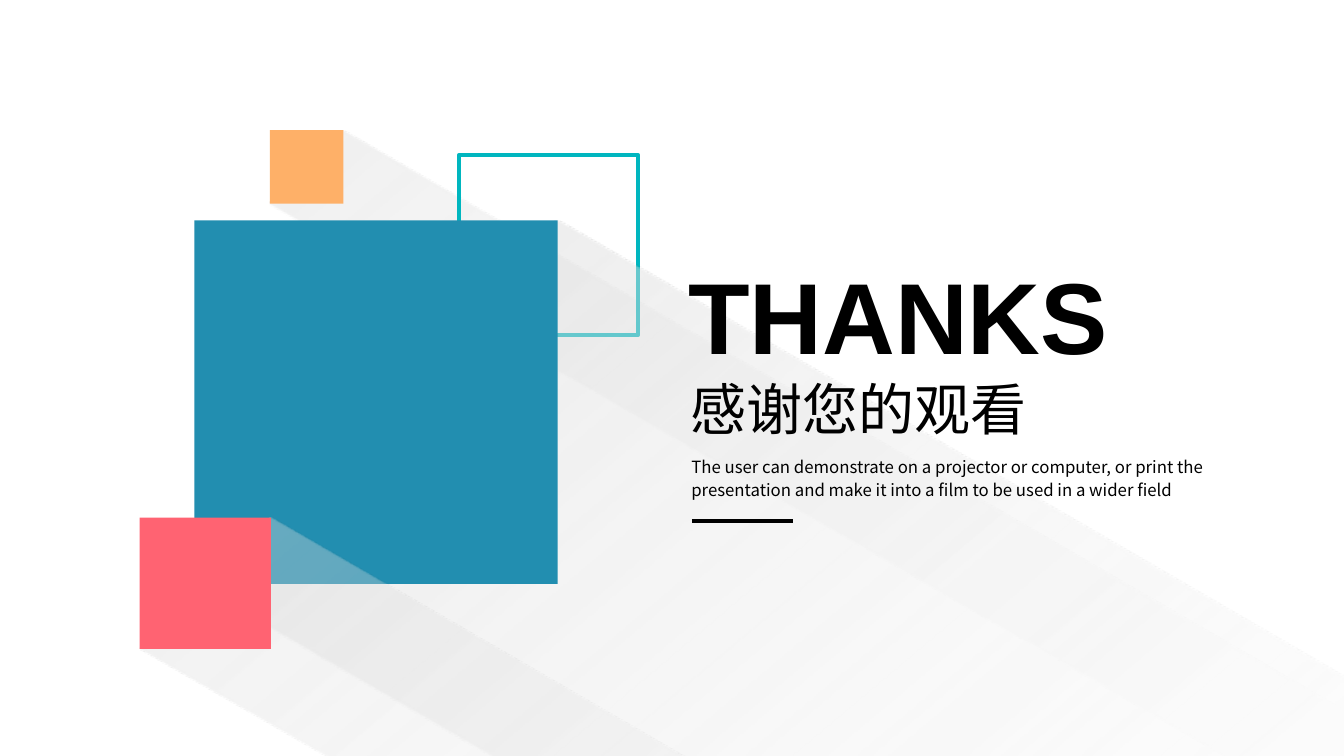
from dataclasses import dataclass
from math import cos, radians, sin

from lxml.etree import SubElement
from pptx import Presentation
from pptx.dml.color import RGBColor
from pptx.enum.shapes import MSO_CONNECTOR as Link, MSO_SHAPE as Kind
from pptx.enum.text import MSO_AUTO_SIZE as Fit
from pptx.oxml.ns import qn
from pptx.slide import Slide
from pptx.util import Pt

PX = 9525
TILT = 30
NOTO = "Noto Sans CJK SC"
BLACK = "000000"
Point = tuple[float, float]


@dataclass
class Square:
    x: int
    y: int
    side: int
    color: str


@dataclass
class Shadow:
    ends: list[Point]
    alpha: int


@dataclass
class Label:
    text: str
    box: tuple[int, int, int, int]
    size: int
    font: str = "Arial"
    bold: bool = False
    wrap: bool = False
    space: float = 1.0


ORANGE = Square(257, 124, 70, "FEB068")
FRAME = Square(437, 148, 171, "00B6BF")
BLUE = Square(185, 210, 346, "228EB0")
RED = Square(133, 493, 125, "FF6372")

LABELS = [
    Label("感谢您的观看", (648, 352, 343, 74), 40),
    Label("THANKS", (646, 237, 423, 126), 72, bold=True),
    Label("The user can demonstrate on a projector or computer, or print the "
          "presentation and make it into a film to be used in a wider field",
          (649, 428, 594, 54), 12, NOTO, wrap=True, space=1.14),
]


def rgb(code: str) -> RGBColor:
    return RGBColor.from_string(code)


def turn(point: Point, angle: float) -> Point:
    x, y = point
    c, s = cos(radians(angle)), sin(radians(angle))
    return x * c - y * s, x * s + y * c


def add_shadow(slide: Slide, square: Square, shadow: Shadow) -> None:
    """Cast a fading band from two corners of a square."""
    low, right = square.y + square.side, square.x + square.side
    band = [(square.x, low), (right, square.y), *shadow.ends]

    # Undo the tilt about the centre, so the gradient turns with the shape
    flat = [turn(p, -TILT) for p in band]
    mid = tuple((min(axis) + max(axis)) / 2 for axis in zip(*flat))
    real = turn(mid, TILT)
    pts = [(round((x + real[0] - mid[0]) * PX), round((y + real[1] - mid[1]) * PX))
           for x, y in flat]
    pen = slide.shapes.build_freeform(*pts[0])
    pen.add_line_segments(pts[1:])
    shape = pen.convert_to_shape()
    shape.rotation = TILT
    shape.shadow.inherit = False
    shape.line.fill.background()

    # Gradient with transparent stops
    shape.fill.gradient()
    grad = shape._element.spPr.find(qn("a:gradFill"))
    grad.set("rotWithShape", "1")
    for child in list(grad):
        grad.remove(child)
    stops = SubElement(grad, qn("a:gsLst"))
    for pos, code, alpha in ((0, "D9D9D9", shadow.alpha), (85, "F2F2F2", 0),
                             (100, "FFFFFF", 0)):
        stop = SubElement(stops, qn("a:gs"), pos=str(pos * 1000))
        color = SubElement(stop, qn("a:srgbClr"), val=code)
        SubElement(color, qn("a:alpha"), val=str(alpha * 1000))
    SubElement(grad, qn("a:lin"), ang=str(20 * 60000), scaled="0")


def add_square(slide: Slide, square: Square, hollow: bool = False) -> None:
    box = (square.x, square.y, square.side, square.side)
    shape = slide.shapes.add_shape(Kind.RECTANGLE, *(v * PX for v in box))
    shape.shadow.inherit = False
    if hollow:
        shape.fill.background()
        shape.line.color.rgb = rgb(square.color)
        shape.line.width = Pt(3)
    else:
        shape.fill.solid()
        shape.fill.fore_color.rgb = rgb(square.color)
        shape.line.fill.background()


def add_label(slide: Slide, label: Label) -> None:
    frame = slide.shapes.add_textbox(*(v * PX for v in label.box)).text_frame
    frame.text = label.text
    frame.word_wrap = label.wrap
    frame.auto_size = Fit.SHAPE_TO_FIT_TEXT
    para = frame.paragraphs[0]
    para.line_spacing = label.space
    run = para.runs[0]
    run.font.name = label.font
    run.font.size = Pt(label.size)
    run.font.bold = label.bold
    run.font.color.rgb = rgb(BLACK)
    SubElement(run.font._element, qn("a:ea"), typeface=NOTO)


def add_rule(slide: Slide, x: int, y: int, width: int) -> None:
    ends = (x, y, x + width, y)
    rule = slide.shapes.add_connector(Link.STRAIGHT, *(v * PX for v in ends))
    rule.line.color.rgb = rgb(BLACK)
    rule.line.width = Pt(3)
    SubElement(rule._element.spPr, qn("a:effectLst"))


def main() -> None:
    deck = Presentation()
    deck.slide_width, deck.slide_height = 1280 * PX, 720 * PX
    slide = deck.slides.add_slide(deck.slide_layouts[6])

    # Squares behind the text
    add_shadow(slide, ORANGE, Shadow([(1524, 818), (1477, 900)], 40))
    add_square(slide, ORANGE)
    add_square(slide, FRAME, hollow=True)
    add_shadow(slide, BLUE, Shadow([(1613, 838), (1377, 1247)], 60))
    add_square(slide, BLUE)

    # Closing words
    for label in LABELS:
        add_label(slide, label)
    add_rule(slide, 659, 496, 96)

    # Square in front
    add_shadow(slide, RED, Shadow([(1354, 1128), (1270, 1272)], 40))
    add_square(slide, RED)

    deck.save("out.pptx")


if __name__ == "__main__":
    main()
